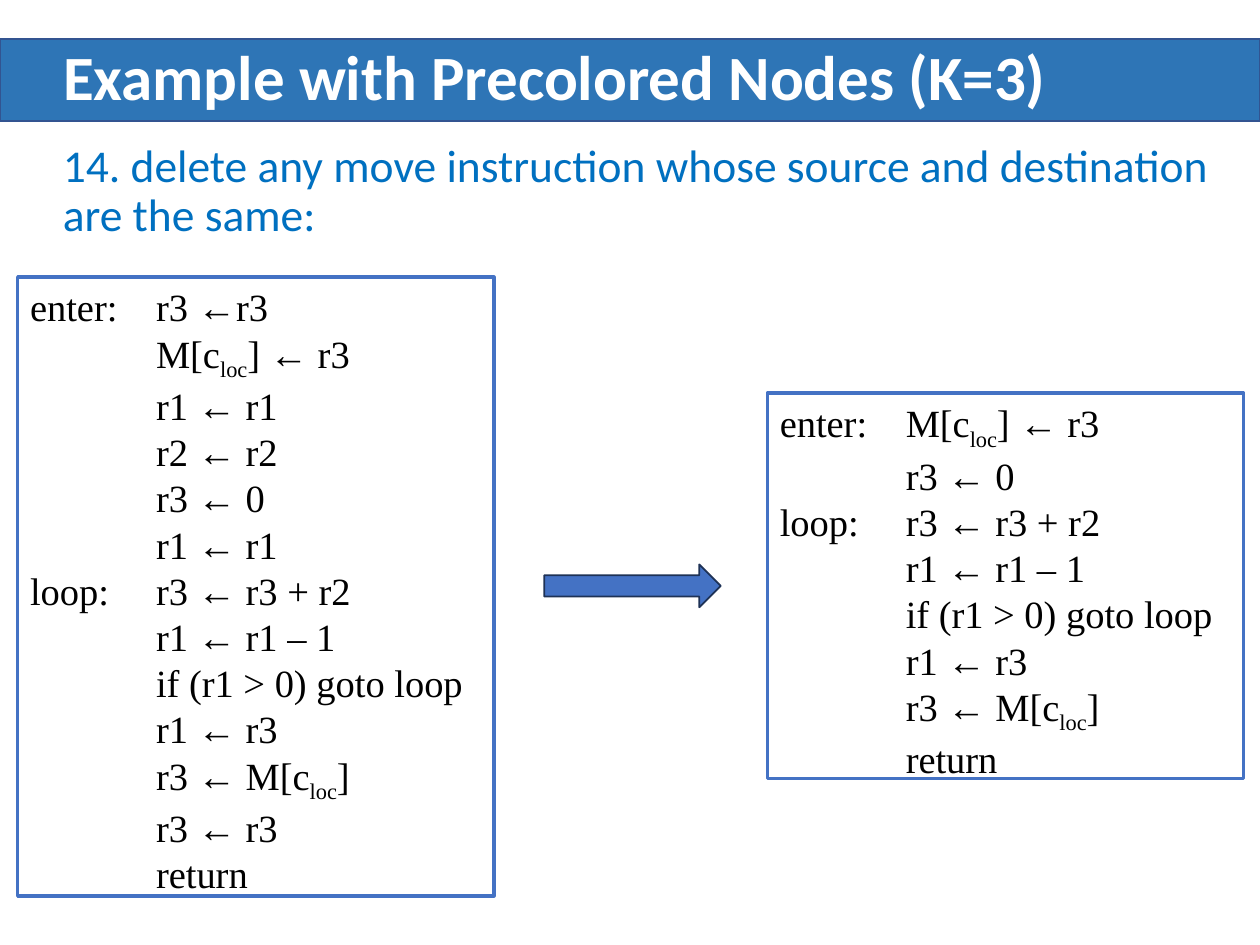
from dataclasses import dataclass

from lxml.etree import SubElement
from pptx import Presentation
from pptx.dml.color import RGBColor
from pptx.enum.shapes import MSO_SHAPE
from pptx.enum.text import MSO_ANCHOR, MSO_AUTO_SIZE, PP_ALIGN
from pptx.oxml.ns import qn
from pptx.util import Inches, Pt


@dataclass(frozen=True)
class Theme:
    band: str = "2E75B6"
    band_edge: str = "325491"
    title: str = "FFFFFF"
    lead: str = "0070C0"
    accent: str = "4472C4"
    arrow_edge: str = "1E3256"
    code: str = "000000"
    sans: str = "Calibri"
    serif: str = "Times New Roman"
    title_size: int = 36
    lead_size: int = 26
    code_size: int = 22


THEME = Theme()
SUBSCRIPT = "loc"
CODE_TABS = (0.5, 1)

BEFORE = [
    "enter:\tr3 ←r3",
    "\t\tM[c_loc] ← r3",
    "\t\tr1 ← r1",
    "\t\tr2 ← r2",
    "\t\tr3 ← 0",
    "\t\tr1 ← r1",
    "loop:\tr3 ← r3 + r2",
    "\t\tr1 ← r1 – 1",
    "\t\tif (r1 > 0) goto loop",
    "\t\tr1 ← r3",
    "\t\tr3 ← M[c_loc]",
    "\t\tr3 ← r3",
    "\t\treturn",
]
AFTER = [
    "enter:\tM[c_loc] ← r3",
    "\t\tr3 ← 0",
    "loop:\tr3 ← r3 + r2",
    "\t\tr1 ← r1 – 1",
    "\t\tif (r1 > 0) goto loop",
    "\t\tr1 ← r3",
    "\t\tr3 ← M[c_loc]",
    "\t\treturn",
]


def inches(box):
    return [Inches(length) for length in box]


def write_text(para, text, *, size, font, color, bold=False, spacing=None, tabs=()):
    para.alignment = PP_ALIGN.LEFT
    if spacing:
        para.line_spacing = spacing
    if tabs:
        tab_list = SubElement(para._p.get_or_add_pPr(), qn("a:tabLst"))
        for stop in tabs:
            SubElement(tab_list, qn("a:tab"), pos=str(Inches(stop)), algn="l")
    for index, part in enumerate(text.partition("_" + SUBSCRIPT)):
        if not part:
            continue
        span = para.add_run()
        span.text = part.removeprefix("_")
        span.font.size = Pt(size)
        span.font.name = font
        span.font.bold = bold
        span.font.color.rgb = RGBColor.from_string(color)
        if index == 1:
            span._r.get_or_add_rPr().set("baseline", "-25000")


def add_filled_shape(page, kind, box, fill, edge):
    shape = page.shapes.add_shape(kind, *inches(box))
    shape.shadow.inherit = False
    shape.fill.solid()
    shape.fill.fore_color.rgb = RGBColor.from_string(fill)
    shape.line.color.rgb = RGBColor.from_string(edge)
    shape.line.width = Pt(1)
    return shape


def add_title_band(page, box, text):
    left, top, width, height = box
    band = add_filled_shape(page, MSO_SHAPE.RECTANGLE, box, THEME.band, THEME.band_edge)
    title = page.shapes.title
    title.element.addprevious(band.element)
    title.left, title.top, title.width, title.height = inches(
        (left + 0.4, top, width - 0.76, height)
    )
    frame = title.text_frame
    frame.vertical_anchor = MSO_ANCHOR.MIDDLE
    frame.auto_size = MSO_AUTO_SIZE.NONE
    write_text(frame.paragraphs[0], text, size=THEME.title_size, font=THEME.sans,
               color=THEME.title, bold=True, spacing=0.9)


def add_lead(page, box, text):
    frame = page.shapes.add_textbox(*inches(box)).text_frame
    frame.word_wrap = True
    write_text(frame.paragraphs[0], text, size=THEME.lead_size, font=THEME.sans,
               color=THEME.lead, spacing=0.9)


def add_code_panel(page, box, lines):
    panel = page.shapes.add_textbox(*inches(box))
    panel.line.color.rgb = RGBColor.from_string(THEME.accent)
    panel.line.width = Pt(2)
    frame = panel.text_frame
    frame.word_wrap = True
    frame.auto_size = MSO_AUTO_SIZE.SHAPE_TO_FIT_TEXT
    for index, line in enumerate(lines):
        para = frame.add_paragraph() if index else frame.paragraphs[0]
        write_text(para, line, size=THEME.code_size, font=THEME.serif,
                   color=THEME.code, tabs=CODE_TABS)


def main():
    deck = Presentation()
    deck.slide_width, deck.slide_height = Inches(10), Inches(7.5)
    page = deck.slides.add_slide(deck.slide_layouts[5])
    add_title_band(page, (0, 0.31, 10, 0.65), "Example with Precolored Nodes (K=3)")
    add_lead(page, (0.4, 1.09, 9.6, 0.95),
             "14. delete any move instruction whose source and destination are the same:")
    add_code_panel(page, (0.14, 2.2, 3.78, 4.91), BEFORE)
    add_code_panel(page, (6.09, 3.12, 3.78, 3.06), AFTER)
    add_filled_shape(page, MSO_SHAPE.RIGHT_ARROW, (4.32, 4.48, 1.4, 0.34),
                     THEME.accent, THEME.arrow_edge)
    deck.save("out.pptx")


if __name__ == "__main__":
    main()
